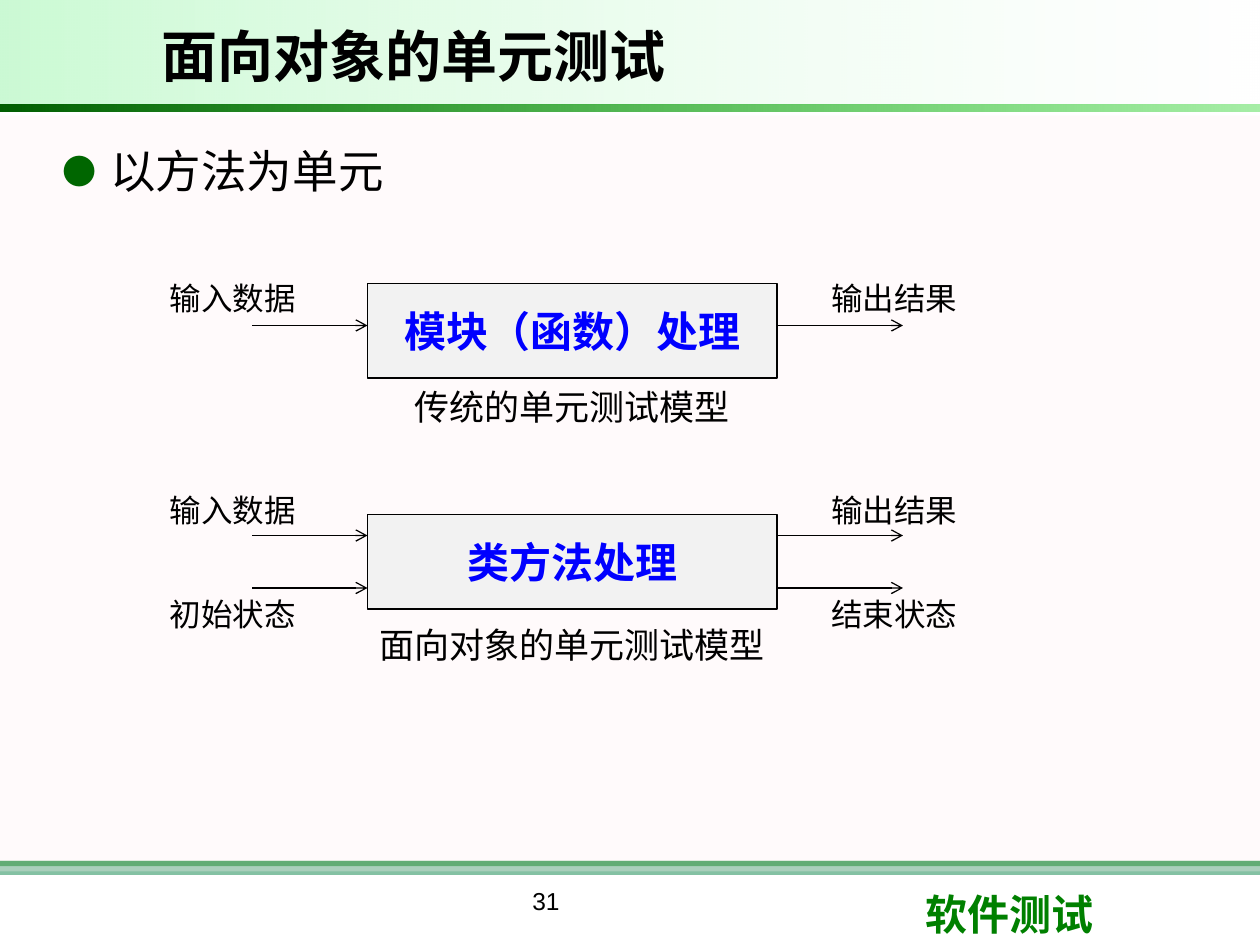
from lxml import etree
from pptx import Presentation
from pptx.dml.color import RGBColor
from pptx.enum import shapes, text
from pptx.oxml.ns import qn
from pptx.util import Pt

COLORS = {
    "ink": "000000", "brand": "008000", "rule": "339966", "panel": "FFF0F5",
    "mint": "09E733", "white": "FFFFFF", "dark": "005E00", "bright": "00CC00",
    "bullet": "006600", "box": "F2F2F2", "process": "0000FF",
}
CJK = "Noto Sans CJK SC"
CENTER = text.PP_ALIGN.CENTER
MIDDLE = text.MSO_ANCHOR.MIDDLE


def rgb(name):
    return RGBColor.from_string(COLORS[name])


def add_child(parent, tag, **attributes):
    return etree.SubElement(parent, qn(tag), attributes)


def set_alpha(element, percent):
    """Make the single colour inside a fill or gradient stop transparent."""
    color = next(element.iter(qn("a:srgbClr")))
    add_child(color, "a:alpha", val=str(percent * 1000))


def add_rect(slide, left, top, width, height):
    rect = slide.shapes.add_shape(shapes.MSO_SHAPE.RECTANGLE, Pt(left), Pt(top),
                                  Pt(width), Pt(height))
    rect.shadow.inherit = False
    rect.line.fill.background()
    return rect


def add_band(slide, left, top, width, height, color, alpha=100):
    band = add_rect(slide, left, top, width, height)
    band.fill.solid()
    band.fill.fore_color.rgb = rgb(color)
    set_alpha(band.fill._xPr, alpha)


def add_gradient_band(slide, left, top, width, height, stops):
    """Fill a band from left to right with two (colour, alpha) stops."""
    band = add_rect(slide, left, top, width, height)
    band.fill.gradient()
    band.fill.gradient_angle = 0
    for stop, (color, alpha) in zip(band.fill.gradient_stops, stops):
        stop.color.rgb = rgb(color)
        set_alpha(stop._gs, alpha)


def write(frame, words, size, font="Arial", color="ink", bold=False,
          align=text.PP_ALIGN.LEFT, anchor=text.MSO_ANCHOR.TOP):
    frame.word_wrap = True
    frame.vertical_anchor = anchor
    frame.text = words
    paragraph = frame.paragraphs[0]
    paragraph.alignment = align
    for run in paragraph.runs:
        run.font.size = Pt(size)
        run.font.bold = bold
        run.font.color.rgb = rgb(color)
        run.font.name = font
        add_child(run.font._element, "a:ea", typeface=CJK)
    return paragraph


def add_text(slide, left, top, width, height, words, size, **style):
    box = slide.shapes.add_textbox(Pt(left), Pt(top), Pt(width), Pt(height))
    return write(box.text_frame, words, size, **style)


def add_arrow(slide, start, end, y):
    arrow = slide.shapes.add_connector(shapes.MSO_CONNECTOR.STRAIGHT,
                                       Pt(start), Pt(y), Pt(end), Pt(y))
    arrow.line.color.rgb = rgb("ink")
    arrow.line.width = Pt(0.75)
    add_child(arrow.line._get_or_add_ln(), "a:tailEnd", type="arrow")
    add_child(arrow._element.spPr, "a:effectLst")


def add_backdrop(slide, width):
    add_band(slide, 0, 492, width, 3, "brand")
    add_band(slide, 0, 492, width, 8, "rule", 60)
    add_band(slide, 0, 66, width, 432, "panel", 30)


def add_header(slide, width, title):
    add_gradient_band(slide, 0, 0, width, 60, [("mint", 21), ("white", 10)])
    add_gradient_band(slide, 0, 60, width, 4, [("dark", 100), ("bright", 35)])
    add_text(slide, 85, 6, 502, 51, title, 32, bold=True, anchor=MIDDLE)


def add_footer(slide, top, number, course):
    add_text(slide, 198, top, 228, 37, number, 14, align=CENTER)
    add_text(slide, 522, top + 1.5, 171, 36, course, 24, font="Calibri",
             color="brand", bold=True)


def add_bullet(slide, left, top, width, height, words):
    paragraph = add_text(slide, left, top, width, height, words, 26, font=CJK)
    properties = paragraph._p.get_or_add_pPr()
    properties.set("marL", str(Pt(28)))
    properties.set("indent", str(-Pt(27.5)))
    bullet_color = add_child(properties, "a:buClr")
    add_child(bullet_color, "a:srgbClr", val=COLORS["bullet"])
    add_child(properties, "a:buSzPct", val="75000")
    add_child(properties, "a:buFont", typeface=CJK)
    add_child(properties, "a:buChar", char="●")
    paragraph.space_after = Pt(6)


def add_model(slide, left, top, width, height, process, caption, caption_gap, flows):
    """Draw a process box; each flow is (arrow y, label y, input, output)."""
    box = add_rect(slide, left, top, width, height)
    box.fill.solid()
    box.fill.fore_color.rgb = rgb("box")
    box.line.color.rgb = rgb("ink")
    box.line.width = Pt(0.75)
    write(box.text_frame, process, 24, font=CJK, color="process", bold=True,
          align=CENTER, anchor=MIDDLE)
    right = left + width
    for arrow_y, label_y, source, result in flows:
        add_arrow(slide, left - 66, left, top + arrow_y)
        add_arrow(slide, right, right + 72, top + arrow_y)
        add_text(slide, left - 120, top + label_y, 96, 29, source, 18)
        add_text(slide, right + 24, top + label_y, 96, 29, result, 18)
    add_text(slide, left - 6, top + height + caption_gap, width + 12, 32,
             caption, 20, align=CENTER)


def main():
    deck = Presentation()
    deck.slide_width, deck.slide_height = Pt(720), Pt(540)
    slide = deck.slides.add_slide(deck.slide_layouts[6])
    add_backdrop(slide, 720)
    add_header(slide, 720, "面向对象的单元测试")
    add_footer(slide, 502.5, "31", "软件测试")
    add_bullet(slide, 28, 78, 674, 402, "以方法为单元")
    add_model(slide, 210, 162, 234, 54, "模块（函数）处理", "传统的单元测试模型", 1,
              [(24, -6, "输入数据", "输出结果")])
    add_model(slide, 210, 294, 234, 54, "类方法处理", "面向对象的单元测试模型", 5,
              [(12, -17, "输入数据", "输出结果"),
               (42, 42.5, "初始状态", "结束状态")])
    deck.save("out.pptx")


if __name__ == "__main__":
    main()
